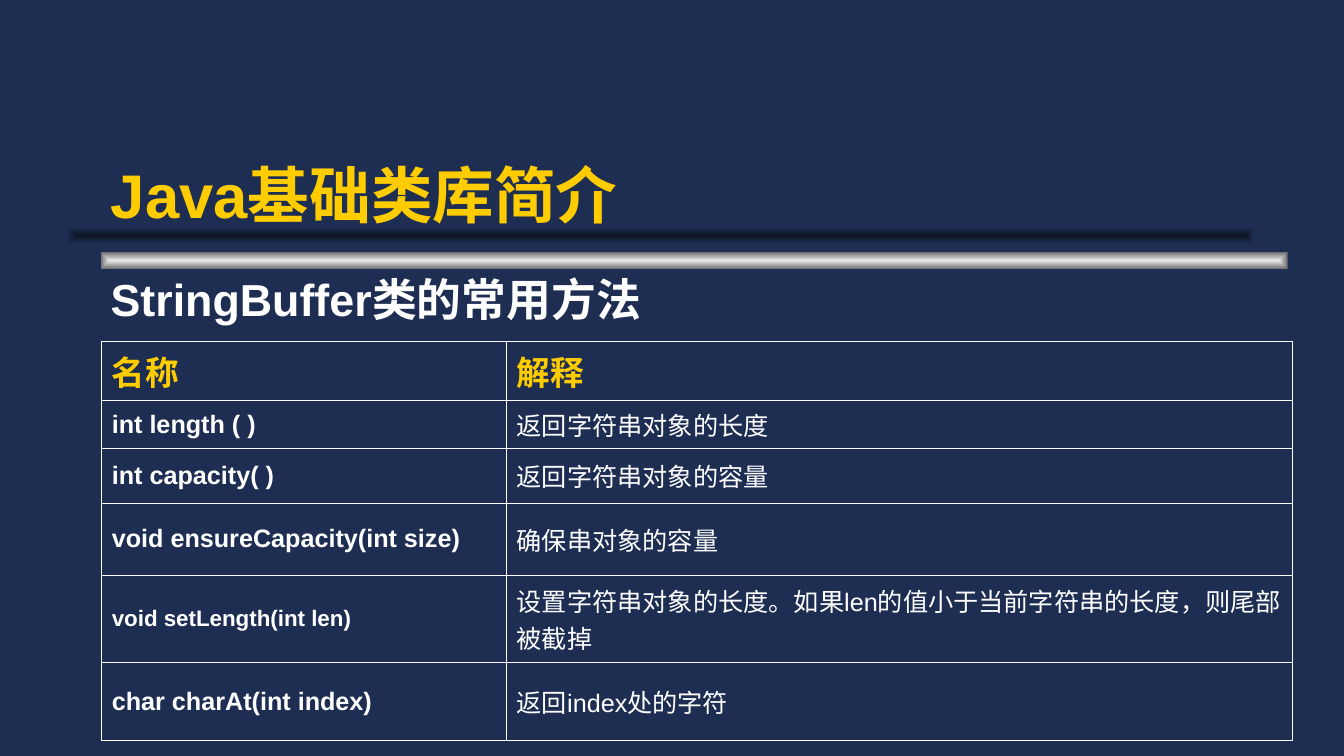
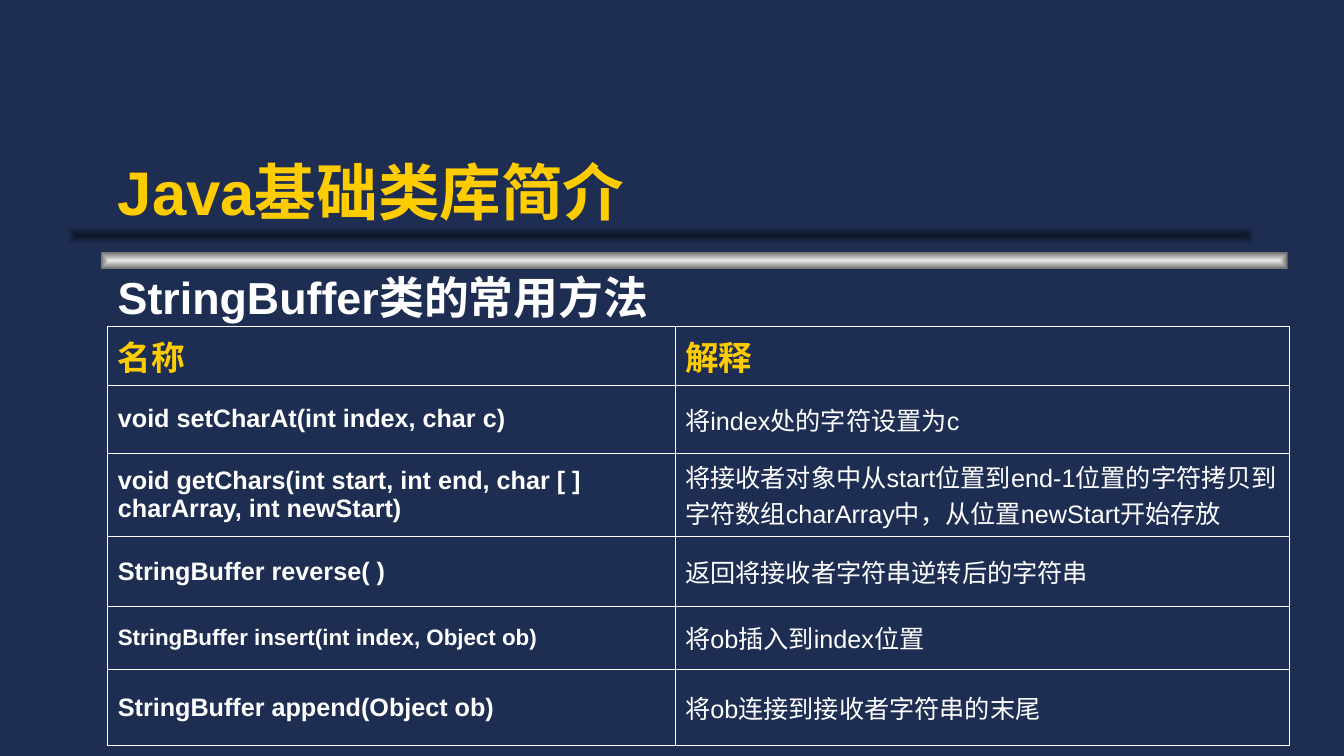
from dataclasses import dataclass

from lxml import etree
from pptx import Presentation
from pptx import util as u
from pptx.dml.color import RGBColor
from pptx.enum import shapes, text
from pptx.oxml import parse_xml
from pptx.oxml.ns import nsdecls, qn


@dataclass(frozen=True)
class Theme:
    background: str = "1E2E53"
    accent: str = "FFCC00"
    plain: str = "FFFFFF"
    bar_light: str = "EAEAEA"
    bar_dark: str = "6C6C6C"
    shade: str = "0E1526"
    font: str = "Arial"
    serif: str = "Times New Roman"
    title_size: float = 44
    subtitle_size: float = 32
    header_size: float = 24
    cell_size: float = 18
    small_size: float = 16
    heading_spacing: float = 0.7
    outer_line: float = 1.08
    inner_line: float = 0.45


THEME = Theme()


@dataclass(frozen=True)
class Method:
    height: float
    name: str
    note: str
    name_size: float = THEME.cell_size
    note_font: str = THEME.font


BUFFER_BASICS = [
    Method(0.47, "int length ( )", "返回字符串对象的长度"),
    Method(0.55, "int capacity( )", "返回字符串对象的容量"),
    Method(0.71, "void ensureCapacity(int size)", "确保串对象的容量"),
    Method(0.87, "void setLength(int len)",
           "设置字符串对象的长度。如果len的值小于当前字符串的长度，则尾部被截掉",
           name_size=THEME.small_size),
    Method(0.77, "char charAt(int index)", "返回index处的字符"),
]

BUFFER_EDITING = [
    Method(0.67, "void setCharAt(int index, char c)", "将index处的字符设置为c"),
    Method(0.7, "void getChars(int start, int end, char [ ] charArray, int newStart)",
           "将接收者对象中从start位置到end-1位置的字符拷贝到字符数组charArray中，从位置newStart开始存放"),
    Method(0.7, "StringBuffer reverse( )", "返回将接收者字符串逆转后的字符串",
           note_font=THEME.serif),
    Method(0.62, "StringBuffer insert(int index, Object ob)", "将ob插入到index位置",
           name_size=THEME.small_size),
    Method(0.76, "StringBuffer append(Object ob)", "将ob连接到接收者字符串的末尾"),
]


def write(frame, words, size, color=THEME.plain, bold=True, font=THEME.font, spacing=None):
    para = frame.paragraphs[0]
    para.alignment = text.PP_ALIGN.LEFT
    para.line_spacing = spacing
    span = para.add_run()
    span.text = words
    span.font.name = font
    span.font.size = u.Pt(size)
    span.font.bold = bold
    span.font.color.rgb = RGBColor.from_string(color)


def write_heading(box, words, place, size, color):
    box.left, box.top, box.width, box.height = map(u.Inches, place)
    frame = box.text_frame
    frame.word_wrap = True
    frame.auto_size = text.MSO_AUTO_SIZE.NONE
    frame.vertical_anchor = text.MSO_ANCHOR.BOTTOM
    write(frame, words, size, color=color, spacing=THEME.heading_spacing)


def add_band(page, layout, left, top, center, edge):
    band = page.shapes.add_shape(
        shapes.MSO_SHAPE.RECTANGLE, u.Inches(left), u.Inches(top), u.Inches(11.78), u.Inches(0.17))
    band.shadow.inherit = False
    band.line.fill.background()
    band.fill.gradient()
    for stop, color in zip(band.fill.gradient_stops, (center, edge)):
        stop.color.rgb = RGBColor.from_string(color)
    gradient = band.element.spPr.find(qn("a:gradFill"))
    gradient.replace(gradient.find(qn("a:lin")), parse_xml(
        f'<a:path {nsdecls("a")} path="rect">'
        '<a:fillToRect l="50000" t="50000" r="50000" b="50000"/></a:path>'))
    layout.shapes.element.insert(2, band.element)


def set_borders(cell, outer_sides):
    properties = cell._tc.get_or_add_tcPr()
    for index, side in enumerate("LRTB"):
        width = THEME.outer_line if side in outer_sides else THEME.inner_line
        line = etree.Element(qn(f"a:ln{side}"), w=str(u.Pt(width)))
        fill = etree.SubElement(line, qn("a:solidFill"))
        etree.SubElement(fill, qn("a:srgbClr"), val=THEME.plain)
        properties.insert(index, line)


def add_method_table(page, left, top, widths, header_height, methods):
    heights = [header_height] + [method.height for method in methods]
    table = page.shapes.add_table(
        len(heights), len(widths), u.Inches(left), u.Inches(top),
        u.Inches(sum(widths)), u.Inches(sum(heights))).table
    table.first_row = table.horz_banding = False
    for column, width in zip(table.columns, widths):
        column.width = u.Inches(width)
    for row, height in zip(table.rows, heights):
        row.height = u.Inches(height)
    for row in range(len(heights)):
        for column, side in enumerate("LR"):
            cell = table.cell(row, column)
            cell.fill.background()
            cell.vertical_anchor = text.MSO_ANCHOR.MIDDLE
            set_borders(cell, side + ("T" if row == 0 else "")
                        + ("B" if row == len(methods) else ""))
    for column, words in enumerate(("名称", "解释")):
        write(table.cell(0, column).text_frame, words, THEME.header_size, color=THEME.accent)
    for row, method in enumerate(methods, start=1):
        write(table.cell(row, 0).text_frame, method.name, method.name_size)
        write(table.cell(row, 1).text_frame, method.note, THEME.cell_size,
              bold=False, font=method.note_font)


def add_method_page(deck, layout, left, title_top, subtitle_top, subtitle_height):
    page = deck.slides.add_slide(layout)
    write_heading(page.shapes.title, "Java基础类库简介", (left, title_top, 7.99, 1.25),
                  THEME.title_size, THEME.accent)
    subtitle = page.shapes.add_textbox(0, 0, 0, 0)
    write_heading(subtitle, "StringBuffer类的常用方法",
                  (left, subtitle_top, 7.99, subtitle_height),
                  THEME.subtitle_size, THEME.plain)
    return page


def main():
    deck = Presentation()
    deck.slide_width, deck.slide_height = u.Inches(13.34), u.Inches(7.5)
    background = deck.slide_master.background.fill
    background.solid()
    background.fore_color.rgb = RGBColor.from_string(THEME.background)
    layout = deck.slide_layouts.get_by_name("Title Only")

    basics = add_method_page(deck, layout, 1, 1.07, 2.48, 0.78)
    add_band(basics, layout, 0.67, 2.25, THEME.shade, THEME.background)
    add_band(basics, layout, 1, 2.5, THEME.bar_light, THEME.bar_dark)
    add_method_table(basics, 1.01, 3.39, (4.02, 7.8), 0.55, BUFFER_BASICS)

    editing = add_method_page(deck, layout, 1.07, 1.04, 2.49, 0.75)
    add_method_table(editing, 1.07, 3.24, (5.63, 6.1), 0.5, BUFFER_EDITING)

    deck.save("out.pptx")


if __name__ == "__main__":
    main()
